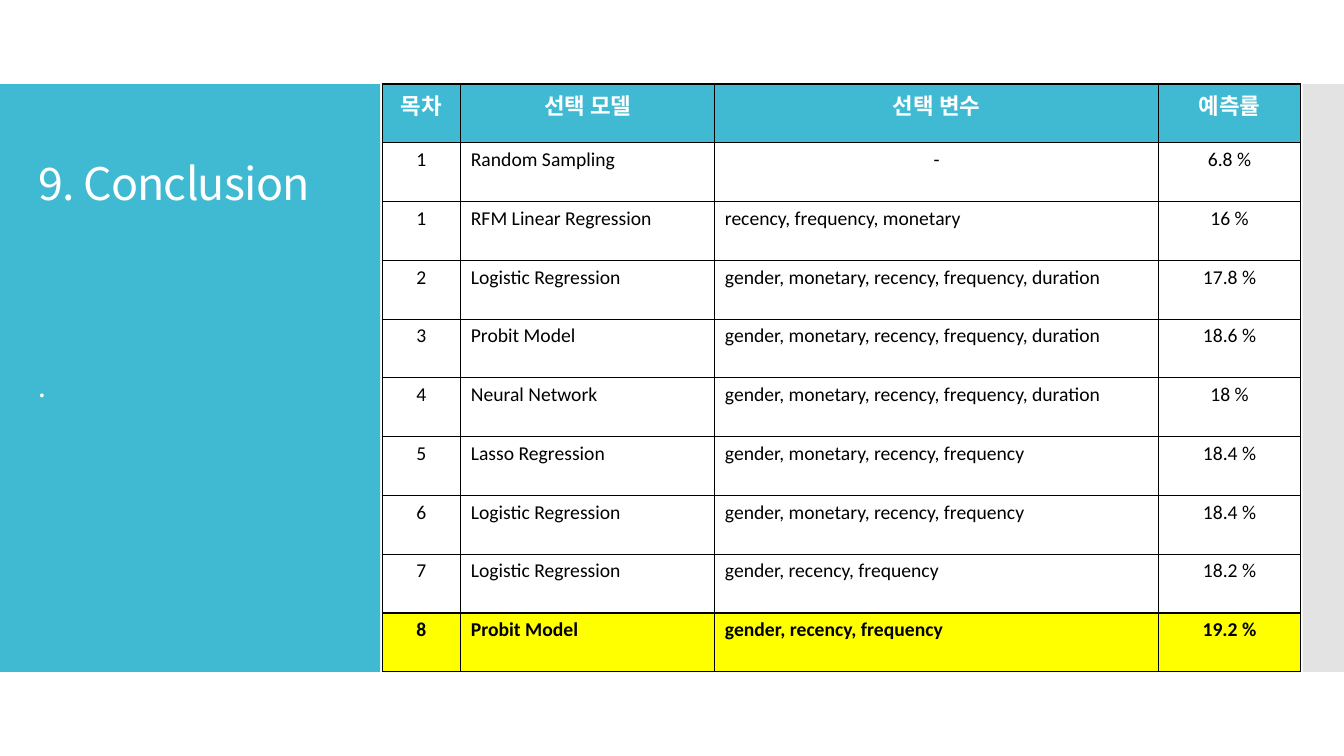
from dataclasses import dataclass

from lxml import etree
from pptx import Presentation
from pptx.dml.color import RGBColor
from pptx.enum.shapes import MSO_SHAPE
from pptx.enum.text import MSO_ANCHOR, PP_ALIGN
from pptx.oxml.ns import qn
from pptx.util import Inches, Pt

RECTANGLE = MSO_SHAPE.RECTANGLE
MIDDLE, TOP = MSO_ANCHOR.MIDDLE, MSO_ANCHOR.TOP
LEFT, CENTER = PP_ALIGN.LEFT, PP_ALIGN.CENTER
TITLE_ONLY = 5


@dataclass(frozen=True)
class Theme:
    accent: str = "40BAD2"
    side: str = "C8C8C8"
    highlight: str = "FFFF00"
    light: str = "FFFFFF"
    dark: str = "000000"
    heading_font: str = "Noto Sans CJK KR"
    body_font: str = "Calibri"
    title_size: int = 32
    note_size: int = 20
    header_size: int = 16
    body_size: int = 14
    tracking: int = -60  # hundredths of a point
    border: float = 1


THEME = Theme()

# Page grid, in inches
WIDTH, HEIGHT = 13.33, 7.5
BAND_TOP = HEIGHT / 9
BAND_HEIGHT = HEIGHT * 7 / 9
PANEL_WIDTH = 3.77
STRIP_LEFT = 12.92
TEXT_LEFT, TEXT_WIDTH = 0.28, 3.22
TABLE_LEFT = 3.79
COLUMN_WIDTHS = (0.78, 2.52, 4.4, 1.41)
COLUMN_ALIGNMENTS = (CENTER, LEFT, LEFT, CENTER)

BASE = "gender, monetary, recency, frequency"
FULL = f"{BASE}, duration"
SHORT = "gender, recency, frequency"
RESULTS = (
    ("목차", "선택 모델", "선택 변수", "예측률"),
    ("1", "Random Sampling", "-", "6.8 %"),
    ("1", "RFM Linear Regression", "recency, frequency, monetary", "16 %"),
    ("2", "Logistic Regression", FULL, "17.8 %"),
    ("3", "Probit Model", FULL, "18.6 %"),
    ("4", "Neural Network", FULL, "18 %"),
    ("5", "Lasso Regression", BASE, "18.4 %"),
    ("6", "Logistic Regression", BASE, "18.4 %"),
    ("7", "Logistic Regression", SHORT, "18.2 %"),
    ("8", "Probit Model", SHORT, "19.2 %"),
)


def add_run(paragraph, text, font_name, size, color, bold=False, tracking=None):
    run = paragraph.add_run()
    run.text = text
    font = run.font
    font.name, font.size, font.bold = font_name, Pt(size), bold
    font.color.rgb = RGBColor.from_string(color)
    properties = run.font._element
    if tracking is not None:
        properties.set("spc", str(tracking))
    # Korean text takes its typeface from the East Asian font
    east_asian = etree.Element(qn("a:ea"), typeface=font_name)
    properties.find(qn("a:latin")).addnext(east_asian)


def add_panel(slide, left, width, color, opacity=100):
    panel = slide.shapes.add_shape(
        RECTANGLE, Inches(left), Inches(BAND_TOP), Inches(width), Inches(BAND_HEIGHT))
    panel.shadow.inherit = False
    panel.line.fill.background()
    panel.fill.solid()
    panel.fill.fore_color.rgb = RGBColor.from_string(color)
    if opacity < 100:
        fill_color = panel.element.spPr.find(qn("a:solidFill"))[0]
        etree.SubElement(fill_color, qn("a:alpha"), val=str(opacity * 1000))


def write_panel_text(shape, text, top, height, size):
    shape.left, shape.top = Inches(TEXT_LEFT), Inches(top)
    shape.width, shape.height = Inches(TEXT_WIDTH), Inches(height)
    frame = shape.text_frame
    frame.word_wrap = True
    frame.vertical_anchor = MIDDLE
    paragraph = frame.paragraphs[0]
    paragraph.alignment = LEFT
    add_run(paragraph, text, THEME.heading_font, size, THEME.light,
            tracking=THEME.tracking)
    return paragraph


def set_borders(cell):
    properties = cell._tc.get_or_add_tcPr()
    for position, side in enumerate(("lnL", "lnR", "lnT", "lnB")):
        line = etree.Element(qn(f"a:{side}"), w=str(Pt(THEME.border)))
        fill = etree.SubElement(line, qn("a:solidFill"))
        etree.SubElement(fill, qn("a:srgbClr"), val=THEME.dark)
        properties.insert(position, line)


def fill_cell(cell, text, alignment, is_header, is_best):
    cell.vertical_anchor = TOP
    if is_header or is_best:
        cell.fill.solid()
        color = THEME.accent if is_header else THEME.highlight
        cell.fill.fore_color.rgb = RGBColor.from_string(color)
    else:
        cell.fill.background()
    set_borders(cell)
    paragraph = cell.text_frame.paragraphs[0]
    paragraph.alignment = CENTER if is_header or text == "-" else alignment
    if is_header:
        add_run(paragraph, text, THEME.heading_font, THEME.header_size,
                THEME.light, bold=True)
    else:
        add_run(paragraph, text, THEME.body_font, THEME.body_size,
                THEME.dark, bold=is_best)


def add_results_table(slide):
    table = slide.shapes.add_table(
        len(RESULTS), len(COLUMN_WIDTHS), Inches(TABLE_LEFT), Inches(BAND_TOP),
        Inches(sum(COLUMN_WIDTHS)), Inches(BAND_HEIGHT)).table
    table.horz_banding = False
    for column, width in zip(table.columns, COLUMN_WIDTHS):
        column.width = Inches(width)
    for row in table.rows:
        row.height = Inches(BAND_HEIGHT / len(RESULTS))
    last = len(RESULTS) - 1
    for row_index, values in enumerate(RESULTS):
        for column_index, text in enumerate(values):
            fill_cell(table.cell(row_index, column_index), text,
                      COLUMN_ALIGNMENTS[column_index],
                      row_index == 0, row_index == last)


def main():
    presentation = Presentation()
    presentation.slide_width = Inches(WIDTH)
    presentation.slide_height = Inches(HEIGHT)
    slide = presentation.slides.add_slide(presentation.slide_layouts[TITLE_ONLY])

    # Background panels
    add_panel(slide, 0, PANEL_WIDTH, THEME.accent)
    add_panel(slide, STRIP_LEFT, WIDTH - STRIP_LEFT, THEME.side, opacity=50)

    # Title, raised above the panels
    title = slide.shapes.title
    title.element.getparent().append(title.element)
    heading = write_panel_text(title, "9. Conclusion", 1.23, 1.23, THEME.title_size)
    heading.line_spacing = 0.9

    # Model comparison
    add_results_table(slide)

    # Text below the title
    note = slide.shapes.add_textbox(0, 0, 0, 0)
    write_panel_text(note, ".", 2.58, 2.51, THEME.note_size)

    presentation.save("out.pptx")


if __name__ == "__main__":
    main()
